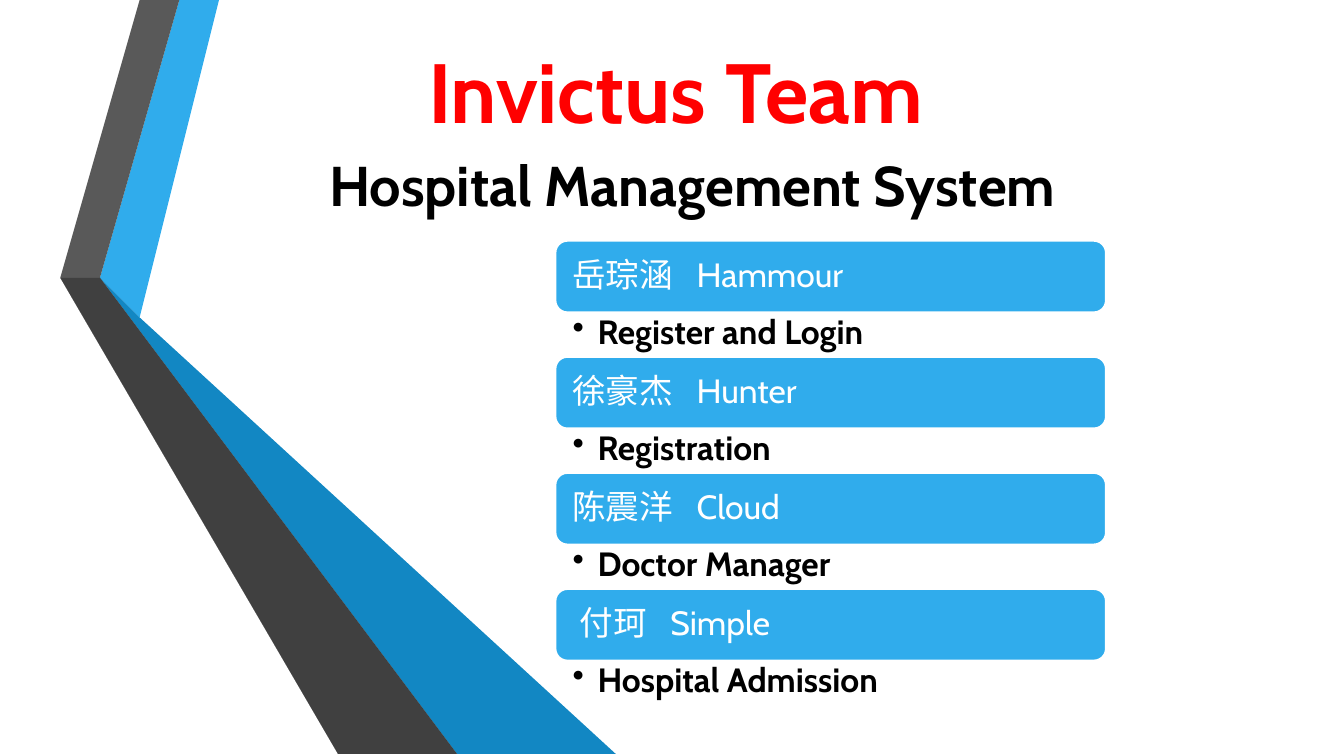
import dataclasses

import pptx
import pptx.dml.color
import pptx.enum.shapes
import pptx.enum.text
import pptx.oxml
import pptx.oxml.ns
import pptx.util

Cm, Pt = pptx.util.Cm, pptx.util.Pt
RGB = pptx.dml.color.RGBColor.from_string
MIDDLE = pptx.enum.text.MSO_ANCHOR.MIDDLE
TOP = pptx.enum.text.MSO_ANCHOR.TOP
LEFT = pptx.enum.text.PP_ALIGN.LEFT
CENTER = pptx.enum.text.PP_ALIGN.CENTER


@dataclasses.dataclass(frozen=True)
class Theme:
    """Colours, font and type sizes of the slide."""
    font: str = "Cabin"
    title: int = 60
    subtitle: int = 40
    body: int = 24
    red: str = "FF0000"
    black: str = "000000"
    white: str = "FFFFFF"
    blue: str = "30ACEC"
    blue_mid: str = "1287C3"
    blue_dark: str = "0C5A82"
    grey: str = "595959"
    grey_mid: str = "404040"
    grey_dark: str = "262626"


T = Theme()

RIBBONS = [
    (T.blue, [(1.22, 7.47), (2.21, 7.72), (4.17, 0), (3.1, 0)]),
    (T.grey, [(0.99, 7.42), (2.87, 0), (1.81, 0), (0, 7.16)]),
    (T.grey_dark, [(0, 7.16), (7.14, 19.05), (7.47, 19.05)]),
    (T.blue_dark, [(1.22, 7.47), (10.14, 19.05), (10.49, 19.05)]),
    (T.blue_mid, [(1.22, 7.47), (10.49, 19.05), (13.92, 19.05), (2.21, 7.72)]),
    (T.grey_mid, [(0, 7.16), (7.47, 19.05), (9.96, 19.05), (0.99, 7.42)]),
]

MEMBERS = [
    ("岳琮涵", "Hammour", "Register and Login", 0.33, 3.14),
    ("徐豪杰", "Hunter", "Registration", 0.33, 3.14),
    ("陈震洋", "Cloud", "Doctor Manager", 0.33, 3.14),
    ("付珂", "Simple", "Hospital Admission", 0.53, 2.28),
]


def apply(obj, values):
    """Set each named attribute of an object."""
    for name, value in values.items():
        setattr(obj, name, value)


def write(sp, text, size, color, bold, align, anchor, margins=None, wrap=True):
    """Write one formatted paragraph into a shape and return it."""
    tf = sp.text_frame
    apply(tf, {"word_wrap": wrap, "vertical_anchor": anchor})
    for side, cm in (margins or {}).items():
        setattr(tf, f"margin_{side}", Cm(cm))
    p = tf.paragraphs[0]
    p.alignment = align
    r = p.add_run()
    r.text = text
    apply(r.font, {"name": T.font, "size": Pt(size), "bold": bold})
    r.font.color.rgb = RGB(color)
    return p


def add_ppr(p, xml):
    """Append an element to the properties of a paragraph."""
    ns = pptx.oxml.ns.nsdecls("a")
    p._p.get_or_add_pPr().append(pptx.oxml.parse_xml(xml.format(ns=ns)))


def paint(sp, color):
    """Give a shape a plain fill without shadow."""
    sp.shadow.inherit = False
    sp.fill.solid()
    sp.fill.fore_color.rgb = RGB(color)


def ribbons(s, x, y):
    """Draw the two folded ribbons from the corner of their box."""
    for color, points in RIBBONS:
        fb = s.shapes.build_freeform(*points[0], scale=float(Cm(1)))
        fb.add_line_segments(points[1:], close=True)
        sp = fb.convert_to_shape(Cm(x), Cm(y))
        paint(sp, color)
        sp.line.fill.background()


def headings(s, x, y, w):
    """Place the team name above the project name."""
    rows = [
        ("Invictus Team", T.title, T.red, 2.59, 0, 13.08, 2.82),
        ("Hospital Management System", T.subtitle, T.black, 0, 2.82, w, 1.96),
    ]
    for text, size, color, dx, dy, width, height in rows:
        sp = s.shapes.add_textbox(Cm(x + dx), Cm(y + dy), Cm(width), Cm(height))
        write(sp, text, size, color, True, CENTER, TOP, wrap=False)


def member_list(s, x, y, w, h):
    """Stack a name bar and a bulleted task for each member."""
    pitch = h / len(MEMBERS)
    bar_h = 1.8
    for i, (name, nick, task, inset, tab) in enumerate(MEMBERS):
        top = y + i * pitch
        sp = s.shapes.add_shape(pptx.enum.shapes.MSO_SHAPE.ROUNDED_RECTANGLE,
                                Cm(x), Cm(top), Cm(w), Cm(bar_h))
        paint(sp, T.blue)
        sp.line.color.rgb = RGB(T.white)
        sp.line.width = Pt(1.25)
        p = write(sp, f"{name}\t{nick}", T.body, T.white, False, LEFT, MIDDLE,
                  {"left": inset})
        p.line_spacing = 0.9
        add_ppr(p, f'<a:tabLst {{ns}}><a:tab pos="{Cm(tab)}" algn="l"/></a:tabLst>')

        sp = s.shapes.add_textbox(Cm(x), Cm(top + bar_h), Cm(w), Cm(pitch - bar_h))
        p = write(sp, task, T.body, T.black, True, LEFT, TOP,
                  {"left": 0.43, "top": 0.08, "right": 0.48, "bottom": 0.08})
        p.line_spacing = 0.9
        ppr = p._p.get_or_add_pPr()
        ppr.set("marL", str(Cm(0.63)))
        ppr.set("indent", str(Cm(-0.63)))
        add_ppr(p, '<a:buChar {ns} char="•"/>')


def main():
    """Build the team slide and save it."""
    prs = pptx.Presentation()
    apply(prs, {"slide_width": Cm(33.87), "slide_height": Cm(19.05)})
    s = prs.slides.add_slide(prs.slide_layouts[6])
    ribbons(s, 1.52, 0)
    member_list(s, 14, 6.07, 13.87, 11.7)
    headings(s, 7.9, 0.86, 19.1)
    prs.save("out.pptx")


main()
